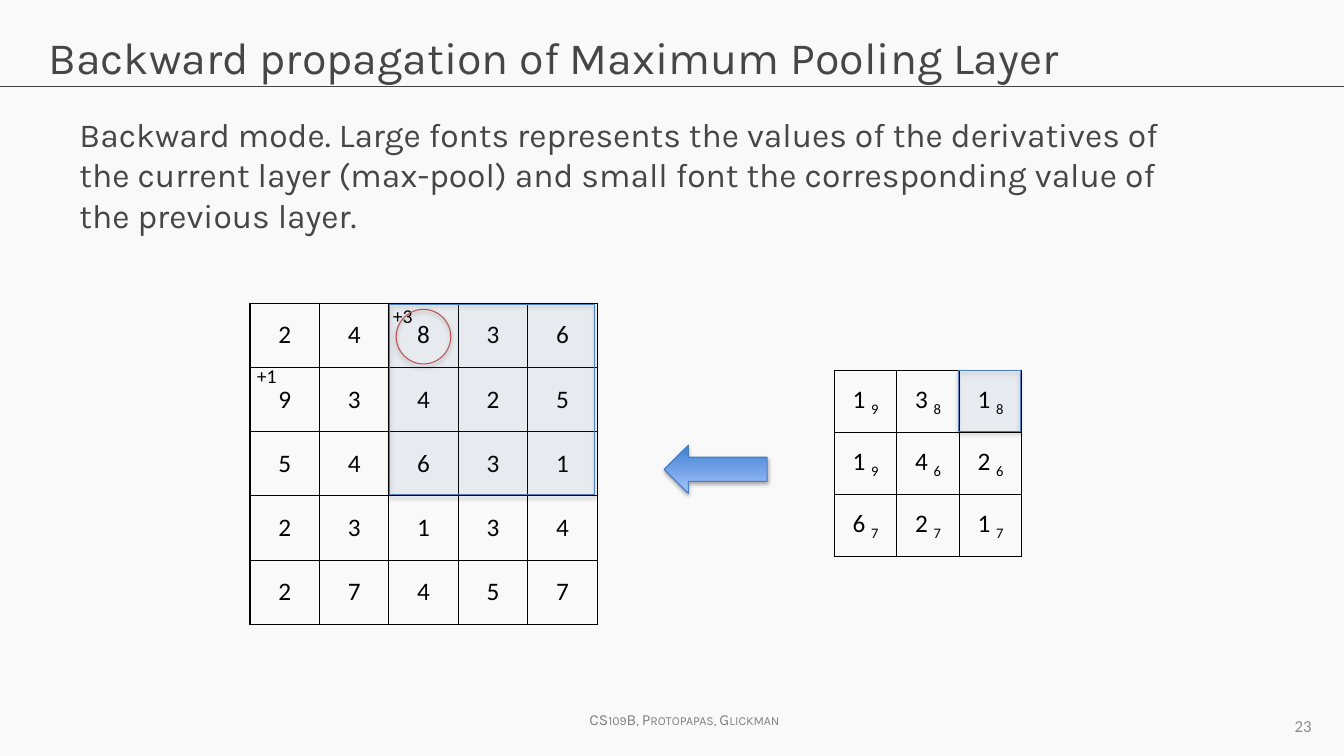
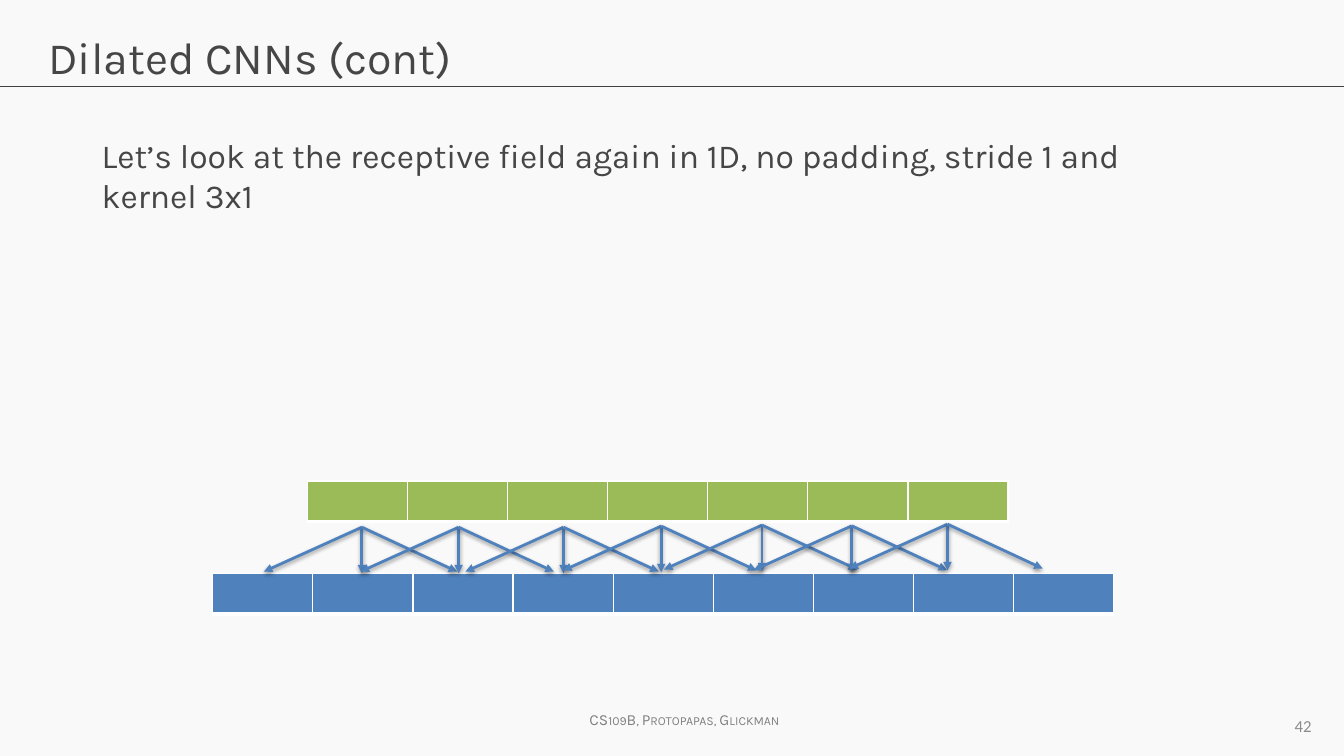
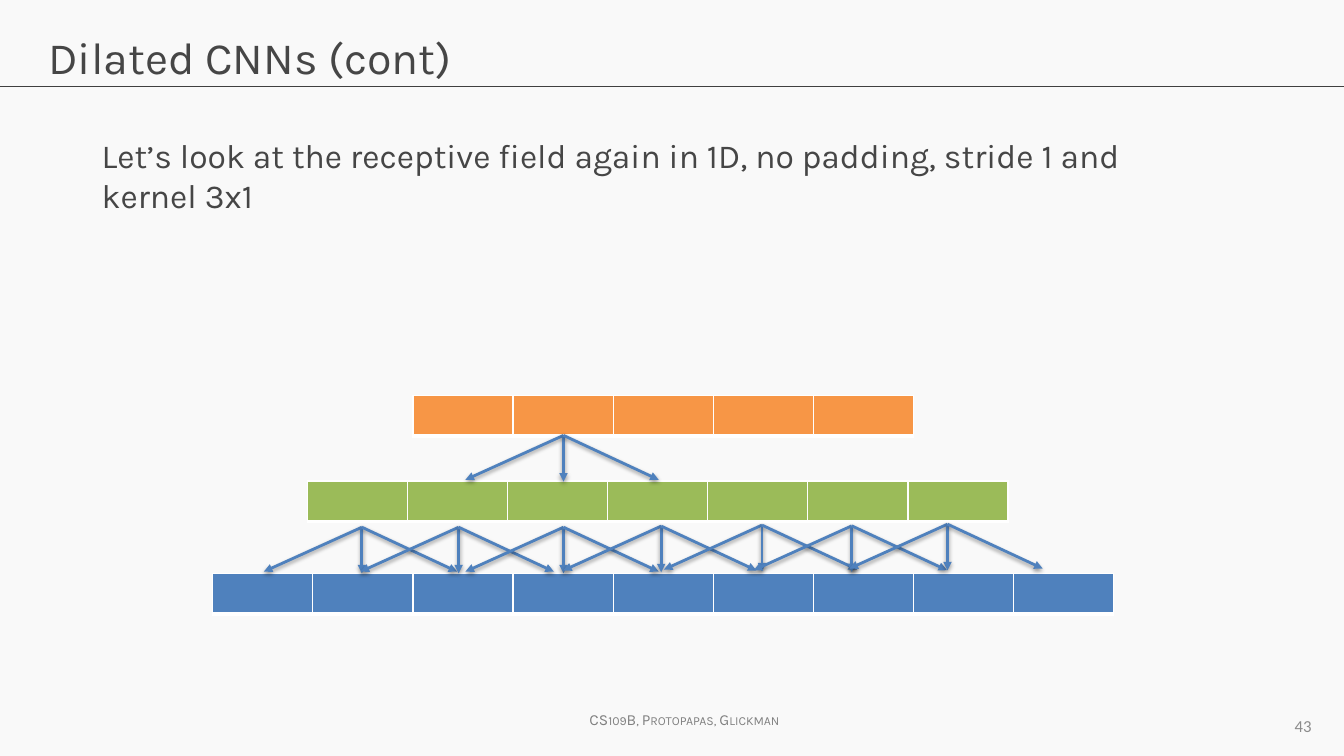
from lxml.etree import SubElement
from pptx import Presentation
from pptx.dml.color import RGBColor
from pptx.enum.shapes import MSO_CONNECTOR as Connector, MSO_SHAPE as Preset
from pptx.enum.text import MSO_ANCHOR as Anchor, MSO_AUTO_SIZE as AutoSize, PP_ALIGN as Align
from pptx.oxml.ns import qn
from pptx.util import Pt

# Shared look
BACKGROUND, RULE, INK, BLACK, WHITE = "F9F9F9", "404040", "464646", "000000", "FFFFFF"
FOOTER_GREY, NUMBER_GREY = "808080", "8C8C8C"
BLUE, GREEN, ORANGE, RED, OUTLINE = "4F81BD", "9BBB59", "F79646", "C0504D", "4B7EBC"
ARROW_DARK, ARROW_LIGHT = "3F80CE", "A4C4FF"
HEADING_FONT, PLAIN_FONT = "Karla", "Calibri"
SLIDE_WIDTH, SLIDE_HEIGHT = 960, 540

# Content
POOL_INPUT = ["24836", "93425", "54631", "23134", "27457"]
POOL_GRADIENTS = [["19", "38", "18"], ["19", "46", "26"], ["67", "27", "17"]]
LOWER_APEXES = [(258.5, 376.6), (327.6, 376.6), (402.5, 376.6), (472.3, 375.8),
                (544.3, 375.1), (608.4, 375.6), (676.8, 374.4)]
UPPER_APEX = (402.5, 311)


def rgb(code):
    return RGBColor.from_string(code)


def points(*lengths):
    return [Pt(length) for length in lengths]


# Text
def write(frame, text, size=18, font=PLAIN_FONT, color=BLACK, align=Align.LEFT,
          small_caps=False, subscript=""):
    paragraph = frame.paragraphs[0]
    paragraph.alignment = align
    for piece in filter(None, (text, subscript)):
        run = paragraph.add_run()
        run.text = piece
        run.font.size, run.font.name = Pt(size), font
        run.font.color.rgb = rgb(color)
        properties = run._r.get_or_add_rPr()
        if small_caps:
            properties.set("cap", "small")
        if piece is subscript:
            properties.set("baseline", "-25000")


def add_text(slide, text, box, anchor=Anchor.TOP, wrap=True, **text_format):
    frame = slide.shapes.add_textbox(*points(*box)).text_frame
    frame.word_wrap = wrap
    frame.auto_size = AutoSize.NONE if wrap else AutoSize.SHAPE_TO_FIT_TEXT
    frame.vertical_anchor = anchor
    write(frame, text, **text_format)


# Shapes and lines
def add_shadow(shape, distance, opacity):
    effects = SubElement(shape._element.spPr, qn("a:effectLst"))
    shadow = SubElement(effects, qn("a:outerShdw"), blurRad=str(Pt(3.1)),
                        dist=str(Pt(distance)), dir="5400000", rotWithShape="0")
    color = SubElement(shadow, qn("a:srgbClr"), val=BLACK)
    SubElement(color, qn("a:alpha"), val=str(opacity * 1000))


def add_outlined(slide, preset, box, line=OUTLINE, tint=None, gradient=None):
    shape = slide.shapes.add_shape(preset, *points(*box))
    if gradient:
        shape.fill.gradient()
        shape.fill.gradient_angle = 270
        for stop, color in zip(shape.fill.gradient_stops, gradient):
            stop.color.rgb = rgb(color)
    elif tint:
        shape.fill.solid()
        shape.fill.fore_color.rgb = rgb(tint)
        color = shape._element.spPr.find(qn("a:solidFill")).find(qn("a:srgbClr"))
        SubElement(color, qn("a:alpha"), val="7000")
    else:
        shape.fill.background()
    shape.line.color.rgb = rgb(line)
    shape.line.width = Pt(0.75)
    add_shadow(shape, 1.8, 35)


def add_line(slide, start, end, color, width, arrow=False):
    connector = slide.shapes.add_connector(Connector.STRAIGHT, *points(*start, *end))
    connector.line.color.rgb = rgb(color)
    connector.line.width = Pt(width)
    if arrow:
        SubElement(connector._element.spPr.find(qn("a:ln")), qn("a:tailEnd"), type="triangle")
        add_shadow(connector, 1.6, 38)
    else:
        SubElement(connector._element.spPr, qn("a:effectLst"))


def add_kernel_fan(slide, apex):
    x, y = apex
    for dx, dy in ((-70, 31.7), (0, 33), (68, 31.7)):
        add_line(slide, apex, (x + dx, y + dy), BLUE, 2, arrow=True)


# Tables
def set_borders(cell, color, bottom):
    properties = cell._tc.get_or_add_tcPr()
    for side, width in (("L", 1), ("R", 1), ("T", 1), ("B", bottom)):
        border = SubElement(properties, qn("a:ln" + side), w=str(Pt(width)))
        SubElement(SubElement(border, qn("a:solidFill")), qn("a:srgbClr"), val=color)


def add_grid(slide, values, corner, cell_size, fill=None, border=BLACK, bottom=1):
    rows, columns = len(values), len(values[0])
    width, height = cell_size
    table = slide.shapes.add_table(
        rows, columns, *points(*corner, columns * width, rows * height)).table
    table.first_row = table.horz_banding = False
    for column in table.columns:
        column.width = Pt(width)
    for row, row_values in zip(table.rows, values):
        row.height = Pt(height)
        for cell, value in zip(row.cells, row_values):
            set_borders(cell, border, bottom)
            if fill:
                cell.fill.solid()
                cell.fill.fore_color.rgb = rgb(fill)
            else:
                cell.fill.background()
            cell.vertical_anchor = Anchor.MIDDLE
            if len(value) == 2:
                write(cell.text_frame, value[0] + " ", subscript=value[1], align=Align.CENTER)
            elif value:
                write(cell.text_frame, value, align=Align.CENTER)


def add_layer(slide, units, corner, color):
    add_grid(slide, [[""] * units], corner, (71.5, 29), fill=color, border=WHITE, bottom=3)


# Slides
def start_slide(prs, title, number):
    slide = prs.slides.add_slide(prs.slide_layouts[6])
    add_line(slide, (0, 62), (SLIDE_WIDTH, 62), RULE, 0.75)
    add_text(slide, "CS109B, Protopapas, Glickman", (414, 504, 157.5, 21), wrap=False,
             size=11, font=HEADING_FONT, color=FOOTER_GREY, small_caps=True)
    add_text(slide, title, (27.5, 17.5, 905, 60.5), size=32, font=HEADING_FONT, color=INK)
    add_text(slide, str(number), (720, 504, 224, 29), anchor=Anchor.MIDDLE,
             size=12, color=NUMBER_GREY, align=Align.RIGHT)
    return slide


def add_body(slide, text, corner, height):
    add_text(slide, text, (*corner, 813, height), size=24, font=HEADING_FONT, color=INK)


def add_pooling_slide(prs):
    slide = start_slide(prs, "Backward propagation of Maximum Pooling Layer", 23)
    add_grid(slide, POOL_INPUT, (178.6, 216.5), (49.6, 45.9))
    add_outlined(slide, Preset.LEFT_ARROW, (474.5, 318, 73.5, 34.5),
                 gradient=(ARROW_DARK, ARROW_LIGHT))
    add_grid(slide, POOL_GRADIENTS, (596, 264.8), (44.6, 44.2))
    add_body(slide, "Backward mode. Large fonts represents the values of the derivatives of "
             "the current layer (max-pool) and small font the corresponding value of "
             "the previous layer.", (49.7, 77.8), 64)
    # Pooling window, its maximum and the gradients passed back
    add_outlined(slide, Preset.RECTANGLE, (278.6, 217.4, 146.2, 136), tint=BLUE)
    add_text(slide, "+1", (176.4, 256.3, 29, 24.5), wrap=False, size=14)
    add_text(slide, "+3", (273.6, 213.8, 29, 24.5), wrap=False, size=14)
    add_outlined(slide, Preset.RECTANGLE, (684.7, 265, 44, 43.2), tint=BLUE)
    add_outlined(slide, Preset.OVAL, (283, 221, 39, 39), line=RED)


def add_dilated_slide(prs, number, with_third_layer):
    slide = start_slide(prs, "Dilated CNNs (cont)", number)
    add_body(slide, "Let’s look at the receptive field again in 1D, no padding, "
             "stride 1 and kernel 3x1", (65.5, 92.9), 166)
    add_layer(slide, 9, (152, 409.5), BLUE)
    add_layer(slide, 7, (219.6, 343.6), GREEN)
    for apex in LOWER_APEXES:
        add_kernel_fan(slide, apex)
    if with_third_layer:
        add_layer(slide, 5, (295, 282.6), ORANGE)
        add_kernel_fan(slide, UPPER_APEX)


def main():
    prs = Presentation()
    prs.slide_width, prs.slide_height = points(SLIDE_WIDTH, SLIDE_HEIGHT)
    page = prs.slide_master.background.fill
    page.solid()
    page.fore_color.rgb = rgb(BACKGROUND)
    add_pooling_slide(prs)
    add_dilated_slide(prs, 42, with_third_layer=False)
    add_dilated_slide(prs, 43, with_third_layer=True)
    prs.save("out.pptx")


if __name__ == "__main__":
    main()
